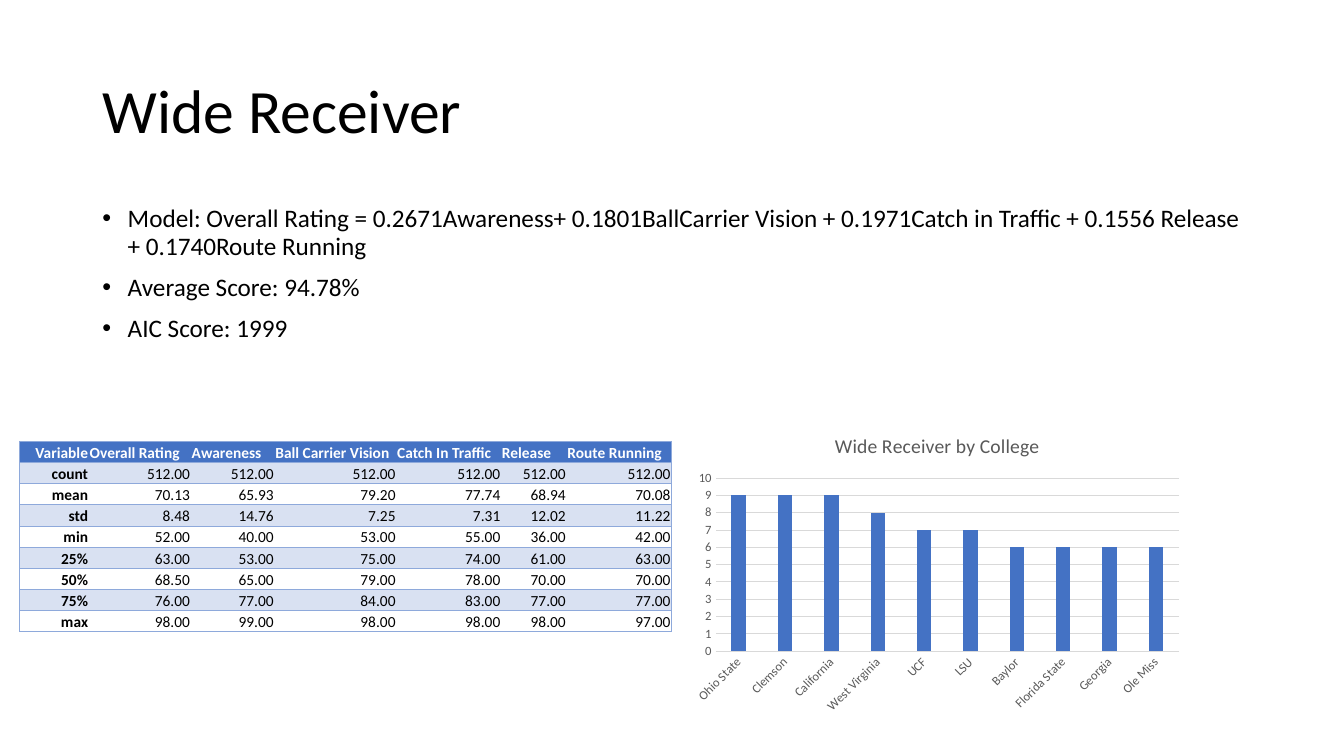
import pptx
import pptx.chart.data
import pptx.dml.color
import pptx.enum.chart
import pptx.enum.text
import pptx.oxml
import pptx.oxml.ns
import pptx.util
from lxml import etree

Cm = pptx.util.Cm
Pt = pptx.util.Pt
RGB = pptx.dml.color.RGBColor
ALIGN = pptx.enum.text.PP_ALIGN
ANCHOR = pptx.enum.text.MSO_ANCHOR
TICK = pptx.enum.chart.XL_TICK_MARK

FONT = "Calibri"
BLACK = RGB(0x00, 0x00, 0x00)
WHITE = RGB(0xFF, 0xFF, 0xFF)
BLUE = RGB(0x44, 0x72, 0xC4)
PALE = RGB(0xD9, 0xE1, 0xF2)
EDGE = RGB(0x8E, 0xA9, 0xDB)
GREY = RGB(0x59, 0x59, 0x59)
GRID = RGB(0xD9, 0xD9, 0xD9)
NO_STYLE = "{2D5ABB26-0587-4C30-8999-92F81FD0307C}"

POINTS = [
    "Model: Overall Rating = 0.2671Awareness+ 0.1801BallCarrier Vision + "
    "0.1971Catch in Traffic + 0.1556 Release + 0.1740Route Running",
    "Average Score: 94.78%",
    "AIC Score: 1999",
]
HEADS = ["Variable", "Overall Rating", "Awareness", "Ball Carrier Vision",
         "Catch In Traffic", "Release", "Route Running"]
STATS = [
    ("count", 512, 512, 512, 512, 512, 512),
    ("mean", 70.13, 65.93, 79.20, 77.74, 68.94, 70.08),
    ("std", 8.48, 14.76, 7.25, 7.31, 12.02, 11.22),
    ("min", 52, 40, 53, 55, 36, 42),
    ("25%", 63, 53, 75, 74, 61, 63),
    ("50%", 68.5, 65, 79, 78, 70, 70),
    ("75%", 76, 77, 84, 83, 77, 77),
    ("max", 98, 99, 98, 98, 98, 97),
]
WIDTHS = [1.75, 2.57, 2.11, 3.07, 2.64, 1.65, 2.64]
SCHOOLS = {"Ohio State": 9, "Clemson": 9, "California": 9,
           "West Virginia": 8, "UCF": 7, "LSU": 7, "Baylor": 6,
           "Florida State": 6, "Georgia": 6, "Ole Miss": 6}


def style(font, size, color, bold=False):
    """Set the face, size, colour and weight of a font."""
    font.name, font.size, font.bold = FONT, Pt(size), bold
    font.color.rgb = color


def place(shape, box):
    """Move a shape to a box of left, top, width, height in cm."""
    shape.left, shape.top, shape.width, shape.height = map(Cm, box)


def add_title(slide, box, text):
    """Fill and format the title."""
    title = slide.shapes.title
    place(title, box)
    frame = title.text_frame
    frame.text = text
    frame.vertical_anchor = ANCHOR.MIDDLE
    line = frame.paragraphs[0]
    line.alignment, line.line_spacing = ALIGN.LEFT, 0.9
    style(line.runs[0].font, 44, BLACK)


def add_points(slide, box, points):
    """Add the bullet list."""
    frame = slide.shapes.add_textbox(*map(Cm, box)).text_frame
    frame.word_wrap = True
    frame.text = "\n".join(points)
    for line in frame.paragraphs:
        line.line_spacing, line.space_before = 0.9, Pt(10)
        style(line.runs[0].font, 18, BLACK)
        props = line._p.get_or_add_pPr()
        props.set("marL", str(Cm(0.64)))
        props.set("indent", str(-Cm(0.64)))
        for tag, key, value in (("a:buFont", "typeface", "Arial"),
                                ("a:buChar", "char", "•")):
            etree.SubElement(props, pptx.oxml.ns.qn(tag)).set(key, value)


def add_edges(cell, sides):
    """Draw thin lines on the given sides of a cell, in L, R, T, B order."""
    props = cell._tc.get_or_add_tcPr()
    for spot, side in enumerate(sides):
        props.insert(spot, pptx.oxml.parse_xml(
            f'<a:ln{side} {pptx.oxml.ns.nsdecls("a")} w="{Pt(0.5)}">'
            f'<a:solidFill><a:srgbClr val="{EDGE}"/></a:solidFill>'
            f'</a:ln{side}>'))


def add_stats(slide, box):
    """Add the table of statistics with banded rows."""
    rows = [HEADS] + [[name] + [f"{num:.2f}" for num in nums]
                      for name, *nums in STATS]
    frame = slide.shapes.add_table(len(rows), len(HEADS), *map(Cm, box))
    table = frame.table
    table.first_row = table.horz_banding = False
    table._tbl.tblPr.find(pptx.oxml.ns.qn("a:tableStyleId")).text = NO_STYLE
    for col, width in zip(table.columns, WIDTHS):
        col.width = Cm(width)
    for r, row in enumerate(rows):
        table.rows[r].height = Cm(box[3] / len(rows))
        for c, text in enumerate(row):
            cell = table.cell(r, c)
            cell.margin_left = cell.margin_right = cell.margin_top = Cm(0.02)
            cell.margin_bottom = 0
            cell.vertical_anchor = ANCHOR.BOTTOM
            cell.text = text
            line = cell.text_frame.paragraphs[0]
            line.alignment = ALIGN.LEFT if r == 0 and c else ALIGN.RIGHT
            style(line.runs[0].font, 11, BLACK if r else WHITE,
                  r == 0 or c == 0)
            if r % 2 or r == 0:
                cell.fill.solid()
                cell.fill.fore_color.rgb = PALE if r else BLUE
            else:
                cell.fill.background()
            ends = {0: "L", len(row) - 1: "R"}
            add_edges(cell, ends.get(c, "") + "TB")


def add_chart(slide, box):
    """Add the column chart of colleges."""
    data = pptx.chart.data.CategoryChartData()
    data.categories = list(SCHOOLS)
    data.add_series("Series 1", list(SCHOOLS.values()))
    kind = pptx.enum.chart.XL_CHART_TYPE.COLUMN_CLUSTERED
    chart = slide.shapes.add_chart(kind, *map(Cm, box), data).chart
    style(chart.font, 10, BLACK)
    chart.has_legend = False
    chart.has_title = True
    head = chart.chart_title.text_frame
    head.text = "Wide Receiver by College"
    style(head.paragraphs[0].runs[0].font, 14, GREY)
    plot = chart.plots[0]
    plot.vary_by_categories = False
    plot.gap_width, plot.overlap = 219, -27
    bars = plot.series[0].format.fill
    bars.solid()
    bars.fore_color.rgb = BLUE
    across, up = chart.category_axis, chart.value_axis
    for axis in (across, up):
        axis.major_tick_mark = axis.minor_tick_mark = TICK.NONE
        style(axis.tick_labels.font, 9, GREY)
    across._element.txPr.bodyPr.set("rot", str(-45 * 60000))
    up.minimum_scale, up.maximum_scale, up.major_unit = 0, 10, 1
    up.format.line.fill.background()
    for line in (across.format.line, up.major_gridlines.format.line):
        line.color.rgb, line.width = GRID, Pt(0.75)


def main():
    """Build the slide and save it."""
    deck = pptx.Presentation()
    deck.slide_width, deck.slide_height = Cm(33.87), Cm(19.05)
    slide = deck.slides.add_slide(deck.slide_layouts.get_by_name("Title Only"))
    add_title(slide, (2.33, 1.01, 29.21, 3.68), "Wide Receiver")
    add_points(slide, (2.33, 5.07, 29.21, 12.09), POINTS)
    add_chart(slide, (17.27, 10.52, 12.7, 7.62))
    add_stats(slide, (0.49, 11.12, 16.43, 4.8))
    deck.save("out.pptx")


main()
